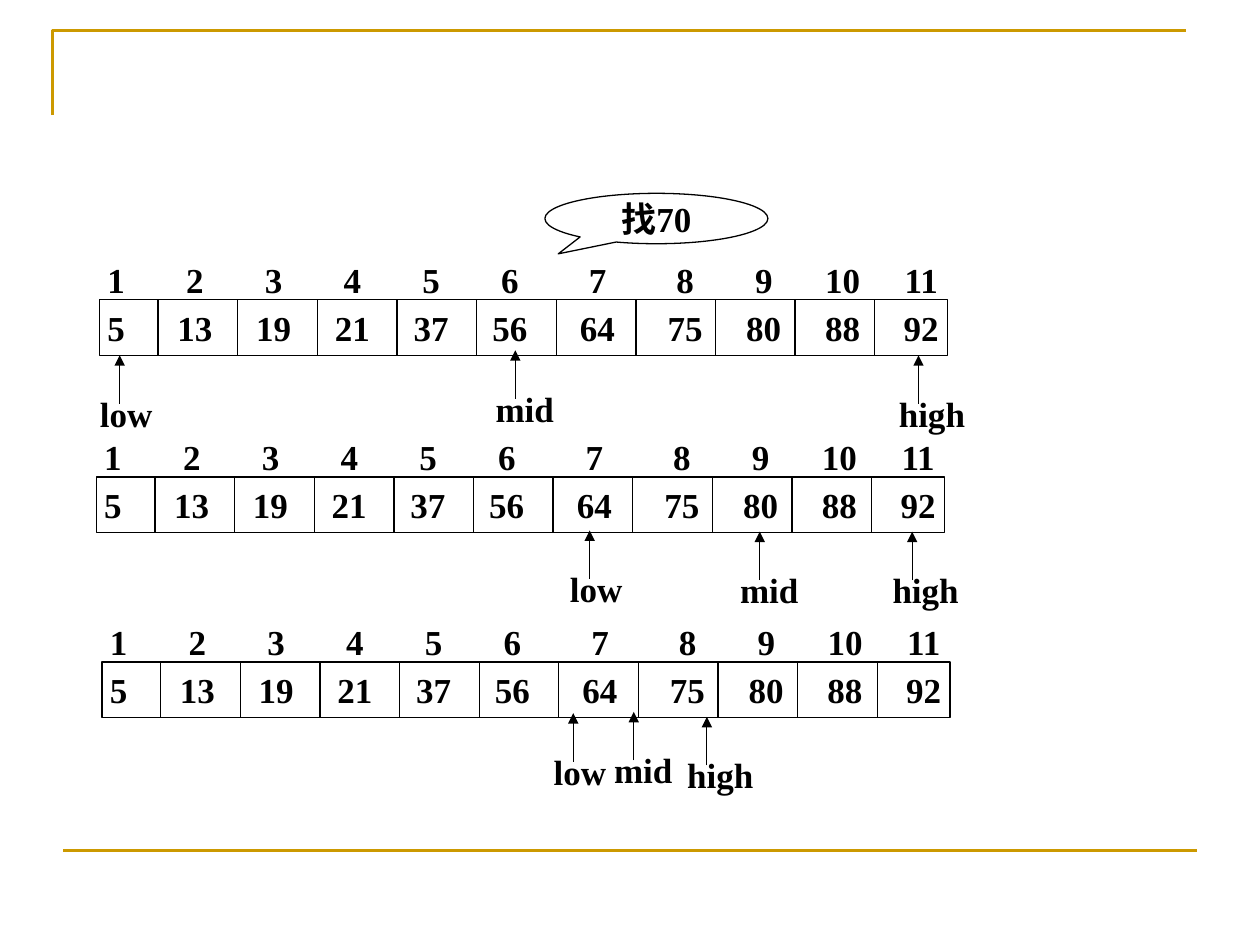
from pptx import Presentation
from pptx.dml.color import RGBColor
from pptx.enum.shapes import MSO_CONNECTOR, MSO_SHAPE
from pptx.enum.text import MSO_ANCHOR, MSO_AUTO_SIZE, PP_ALIGN
from pptx.oxml.ns import qn
from pptx.util import Inches, Pt
from lxml.etree import SubElement

BLACK = RGBColor(0x00, 0x00, 0x00)
GOLD = RGBColor(0xCC, 0x99, 0x00)

deck = Presentation()
deck.slide_width, deck.slide_height = Inches(10), Inches(7.5)
COLUMN = deck.slide_width // 100
ROW = deck.slide_height // 75
page = deck.slides.add_slide(deck.slide_layouts[6])


def draw_line(shapes, start, end, color=BLACK, width=0.75, arrow=False):
    line = shapes.add_connector(
        MSO_CONNECTOR.STRAIGHT,
        round(start[0] * COLUMN), round(start[1] * ROW),
        round(end[0] * COLUMN), round(end[1] * ROW),
    )
    line.line.color.rgb = color
    line.line.width = Pt(width)
    properties = line._element.spPr
    if arrow:
        SubElement(properties.find(qn("a:ln")), qn("a:tailEnd"), type="triangle")
    SubElement(properties, qn("a:effectLst"))


def write(box, text, inset=1, wrap=False, align=PP_ALIGN.LEFT, stops=()):
    frame = box.text_frame
    frame.word_wrap = wrap
    frame.margin_left = round(inset * COLUMN)
    frame.margin_right = 0 if align == PP_ALIGN.LEFT else round(inset * COLUMN)
    para = frame.paragraphs[0]
    if stops:
        tabs = SubElement(para._p.get_or_add_pPr(), qn("a:tabLst"))
        for stop in stops:
            SubElement(tabs, qn("a:tab"), pos=str(round(stop * COLUMN)), algn="ctr")
    para.alignment = align
    span = para.add_run()
    span.text = text
    span.font.name = "Times New Roman"
    span.font.size = Pt(20)
    span.font.bold = True
    span.font.color.rgb = BLACK


corner = page.shapes.build_freeform(round(4.15 * COLUMN), round(9.15 * ROW))
corner.add_line_segments(
    [(round(4.15 * COLUMN), round(2.45 * ROW)), (round(94.15 * COLUMN), round(2.45 * ROW))],
    close=False,
)
frame_corner = corner.convert_to_shape()
frame_corner.shadow.inherit = False
frame_corner.fill.background()
frame_corner.line.color.rgb = GOLD
frame_corner.line.width = Pt(1.5)
draw_line(page.shapes, (5, 67.5), (95, 67.5), GOLD, 1.5)

values = [5, 13, 19, 21, 37, 56, 64, 75, 80, 88, 92]
indexes = range(1, len(values) + 1)
stops = [0.7 + 6.25 * i + 0.7 * min(max(i - 5, 0), 2) for i in range(1, len(values))]
label_widths = {"low": 6.1, "mid": 6.6, "high": 7.2}
steps = [
    (7.9, 23.8, {"low": (9.5, 28.2), "high": (72.9, 28.2), "mid": (40.9, 27.8)}),
    (7.65, 37.85, {"low": (46.8, 42.1), "high": (72.4, 42.2), "mid": (60.3, 42.2)}),
    (8.1, 52.55, {"low": (45.5, 56.6), "high": (56.1, 56.9), "mid": (50.3, 56.5)}),
]

for left, top, pointers in steps:
    shapes = page.shapes.add_group_shape().shapes
    index_row = shapes.add_textbox(
        round((left - 0.3) * COLUMN), round((top - 3.8) * ROW),
        round(68.1 * COLUMN), round(4.4 * ROW),
    )
    write(index_row, "\t".join(map(str, indexes)), inset=0.92, wrap=True, stops=stops)

    array = shapes.add_shape(
        MSO_SHAPE.RECTANGLE, round(left * COLUMN), round(top * ROW),
        round(67.3 * COLUMN), round(4.4 * ROW),
    )
    array.shadow.inherit = False
    array.fill.background()
    array.line.color.rgb = BLACK
    array.line.width = Pt(0.75)
    array.text_frame.vertical_anchor = MSO_ANCHOR.MIDDLE
    write(array, "\t".join(map(str, values)), inset=0.62, wrap=True, stops=stops)

    for i in range(len(values) - 1):
        x = left + 4.65 + 6.32 * i
        draw_line(shapes, (x, top), (x, top + 4.4))

    for name, (x, y) in pointers.items():
        draw_line(shapes, (x, y + 3.85), (x, y), arrow=True)
        label = shapes.add_textbox(
            round((x - 2.55) * COLUMN), round((y + 2.45) * ROW),
            round(label_widths[name] * COLUMN), round(4.4 * ROW),
        )
        write(label, name)
        label.text_frame.auto_size = MSO_AUTO_SIZE.SHAPE_TO_FIT_TEXT

callout = page.shapes.add_shape(
    MSO_SHAPE.OVAL_CALLOUT, round(43.25 * COLUMN), round(15.35 * ROW),
    round(17.7 * COLUMN), round(4 * ROW),
)
callout.adjustments[0] = -0.44
callout.adjustments[1] = 0.7
callout.shadow.inherit = False
callout.fill.background()
callout.line.color.rgb = BLACK
callout.line.width = Pt(0.75)
callout.text_frame.vertical_anchor = MSO_ANCHOR.MIDDLE
write(callout, "找70", align=PP_ALIGN.CENTER)

deck.save("out.pptx")
